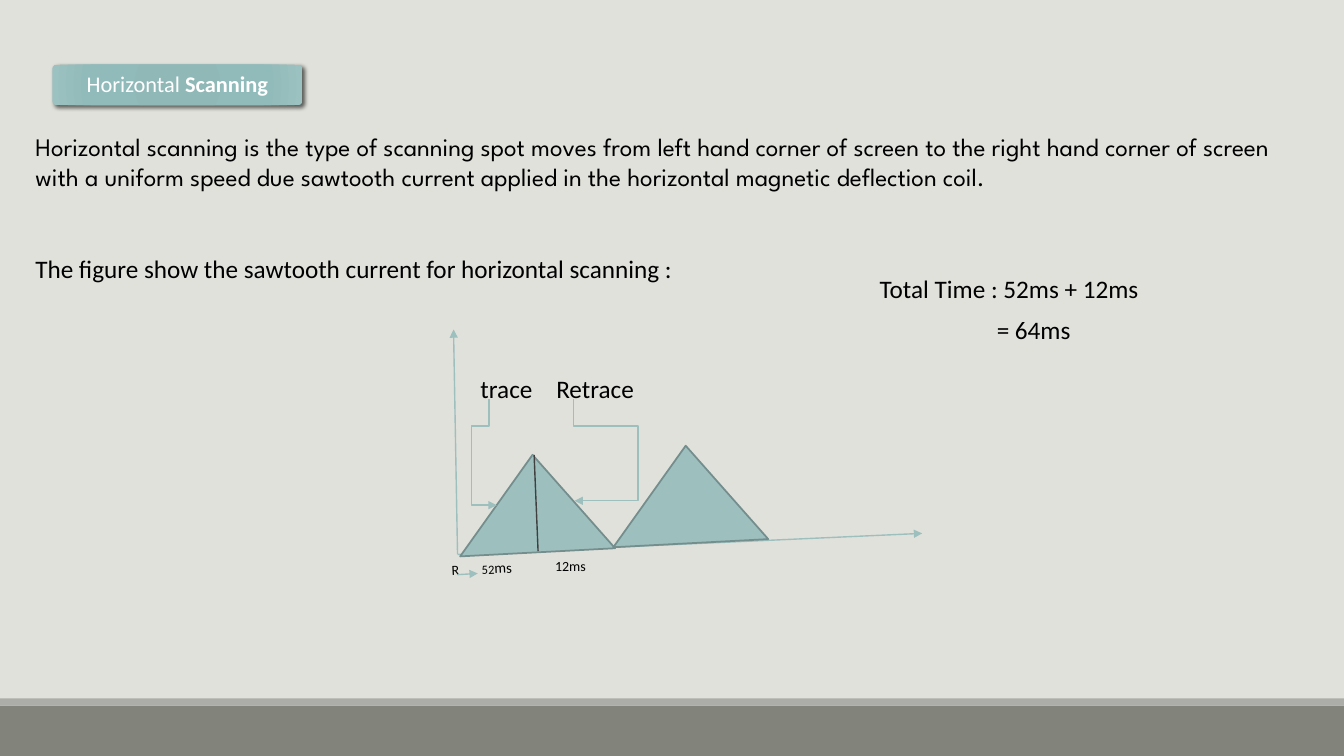
from dataclasses import dataclass

from lxml import etree
from pptx import Presentation
from pptx import util as u
from pptx.dml.color import RGBColor
from pptx.enum import shapes, text
from pptx.oxml import parse_xml
from pptx.oxml.ns import nsdecls, qn


@dataclass(frozen=True)
class Theme:
    """Colours, fonts and type sizes of the slide."""

    ground: str = "E1E1DB"
    bar: str = "82847C"
    strip: str = "ACADA8"
    teal: str = "9DBFBE"
    edge: str = "748D8D"
    divider: str = "404040"
    ink: str = "000000"
    white: str = "FFFFFF"
    badge: tuple = ((0, "8EB7B6"), (34, "90B8B7"), (70, "91BBBA"), (100, "9BC1C0"))
    sans: str = "Calibri"
    display: str = "League Spartan"
    body: int = 18
    title: int = 16
    tick: int = 10


THEME = Theme()
TILT = 357


def colour(code):
    """Turn a hex code into a colour."""
    return RGBColor.from_string(code)


def set_font(font, size, name=THEME.sans, code=THEME.ink):
    """Set the size, face and colour of a font."""
    font.size, font.name = u.Pt(size), name
    font.color.rgb = colour(code)


def place(shape, left, top, width, height):
    """Move a shape to a box given in centimetres."""
    shape.left, shape.top = u.Cm(left), u.Cm(top)
    shape.width, shape.height = u.Cm(width), u.Cm(height)


def add_label(page, box, words, size=THEME.body):
    """Add a text box with one paragraph and return it."""
    label = page.shapes.add_textbox(*map(u.Cm, box))
    label.text_frame.word_wrap = True
    para = label.text_frame.paragraphs[0]
    para.text = words
    set_font(para.font, size)
    return label


def add_block(page, kind, box, fill=None):
    """Add a preset shape without shadow or outline."""
    block = page.shapes.add_shape(kind, *map(u.Cm, box))
    block.shadow.inherit = False
    block.line.fill.background()
    if fill:
        block.fill.solid()
        block.fill.fore_color.rgb = colour(fill)
    return block


def style_line(line, code=THEME.teal, arrow=False):
    """Colour a one-point line and optionally end it in an arrowhead."""
    line.width = u.Pt(1)
    line.color.rgb = colour(code)
    if arrow:
        etree.SubElement(line._get_or_add_ln(), qn("a:tailEnd"), type="triangle")


def add_segment(page, start, end, code=THEME.teal, arrow=False):
    """Draw a straight connector."""
    segment = page.shapes.add_connector(
        shapes.MSO_CONNECTOR.STRAIGHT, *map(u.Cm, (*start, *end)))
    style_line(segment.line, code, arrow)
    etree.SubElement(segment._element.spPr, qn("a:effectLst"))


def add_route(page, points):
    """Draw an arrow with square bends through the points."""
    start, *rest = [(u.Cm(x), u.Cm(y)) for x, y in points]
    builder = page.shapes.build_freeform(*start)
    builder.add_line_segments(rest, close=False)
    route = builder.convert_to_shape()
    route.shadow.inherit = False
    route.fill.background()
    style_line(route.line, arrow=True)


def add_footer(page, left, top, width):
    """Draw the bar and the thin strip above it."""
    strip = 0.18
    add_block(page, shapes.MSO_SHAPE.RECTANGLE, (left, top + strip, width, 1.27), THEME.bar)
    add_block(page, shapes.MSO_SHAPE.RECTANGLE, (left, top, width, strip), THEME.strip)


def add_heading(page, left, top, width, height):
    """Draw the shaded badge and set the title on it."""
    badge = add_block(page, shapes.MSO_SHAPE.ROUNDED_RECTANGLE, (left, top, width, height))
    badge.adjustments[0] = 0.1
    stops = "".join(f'<a:gs pos="{at * 1000}"><a:srgbClr val="{code}"/></a:gs>'
                    for at, code in THEME.badge)
    properties = badge._element.spPr
    properties.find(qn("a:prstGeom")).addnext(parse_xml(
        f'<a:gradFill {nsdecls("a")}><a:gsLst>{stops}</a:gsLst><a:path path="circle">'
        '<a:fillToRect l="100000" t="100000" r="100000" b="100000"/></a:path></a:gradFill>'))
    properties.find(qn("a:effectLst")).append(parse_xml(
        f'<a:outerShdw {nsdecls("a")} blurRad="{u.Pt(3)}" dist="{u.Pt(2)}" dir="2700000">'
        f'<a:srgbClr val="{THEME.ink}"><a:alpha val="60000"/></a:srgbClr></a:outerShdw>'))

    title = page.shapes.title
    badge._element.addnext(title._element)
    place(title, left + 0.03, top + 0.03, width - 0.06, height - 0.06)
    frame = title.text_frame
    frame.margin_left = frame.margin_right = u.Cm(0.18)
    frame.margin_top = frame.margin_bottom = u.Cm(0.18)
    frame.vertical_anchor = text.MSO_ANCHOR.MIDDLE
    frame.auto_size = text.MSO_AUTO_SIZE.NONE
    para = frame.paragraphs[0]
    para.alignment, para.line_spacing = text.PP_ALIGN.CENTER, 0.9
    set_font(para.font, THEME.title, code=THEME.white)
    for words, bold in (("Horizontal ", False), ("Scanning", True)):
        span = para.add_run()
        span.text, span.font.bold = words, bold


def add_definition(page, *box):
    """Fill the body placeholder with the definition."""
    body = page.placeholders[1]
    place(body, *box)
    body.text_frame.auto_size = text.MSO_AUTO_SIZE.NONE
    para = body.text_frame.paragraphs[0]
    para.text = ("Horizontal scanning is the type of scanning spot moves from left hand corner "
                 "of screen to the right hand corner of screen with a uniform speed due sawtooth "
                 "current applied in the horizontal magnetic deflection coil.")
    para.space_before = u.Pt(0)
    set_font(para.font, THEME.body, THEME.display)
    properties = para._p.get_or_add_pPr()
    properties.set("marL", "0")
    properties.set("indent", "0")
    etree.SubElement(properties, qn("a:buNone")) if properties.find(qn("a:defRPr")) is None \
        else properties.find(qn("a:defRPr")).addprevious(etree.Element(qn("a:buNone")))


def add_start_label(page, box):
    """Add the tilted start mark and trace time, parted by a tab stop."""
    label = add_label(page, box, "", THEME.tick)
    label.rotation = TILT
    para = label.text_frame.paragraphs[0]
    for words, size in (("R\t", THEME.tick), ("52", 9), ("ms", 10.5)):
        span = para.add_run()
        span.text, span.font.size = words, u.Pt(size)
    para._p.get_or_add_pPr().insert(0, parse_xml(
        f'<a:tabLst {nsdecls("a")}><a:tab pos="{u.Cm(0.76)}" algn="l"/></a:tabLst>'))


def add_sawtooth(page, left, top):
    """Draw the sawtooth current with its axes and labels."""
    def at(x, y):
        return left + x, top + y

    origin = at(0.4, 5.67)
    for tip in (at(0.3, 0), at(12.11, 5.14)):
        add_segment(page, origin, tip, arrow=True)
    for cycle in range(2):
        corner = at(0.4 + 3.86 * cycle, 3.16 - 0.23 * cycle)
        tooth = add_block(page, shapes.MSO_SHAPE.ISOSCELES_TRIANGLE,
                          (*corner, 3.91, 2.46), THEME.teal)
        tooth.rotation = TILT
        tooth.line.color.rgb = colour(THEME.edge)
        tooth.line.width = u.Pt(1.25)
    for x, code in ((2.31, THEME.teal), (2.33, THEME.divider)):
        add_segment(page, at(x, 3.16), at(2.43, 5.59), code)
    add_start_label(page, (*at(0, 5.67), 2.36, 0.76))
    add_segment(page, at(0.4, 6.18), at(0.91, 6.15), arrow=True)
    add_label(page, (*at(2.61, 5.62), 1.45, 0.69), "12ms", THEME.tick)
    for x, side, end, y in ((1.19, 0.76, 1.39, 4.43), (3.32, 4.95, 3.35, 4.32)):
        add_route(page, [at(x, 1.76), at(x, 2.44), at(side, 2.44), at(side, y), at(end, y)])
    for x, width, words in ((0.73, 2.26, "trace"), (2.64, 2.82, "Retrace")):
        add_label(page, (*at(x, 0.97), width, 1.02), words)


def add_total(page, left, top):
    """Write the sum of both times on two lines."""
    add_label(page, (left, top, 7.34, 1.02), "Total Time : 52ms + 12ms")
    add_label(page, (left + 2.95, top + 1.04, 2.46, 1.02), "= 64ms")


deck = Presentation()
deck.slide_width, deck.slide_height = u.Cm(33.87), u.Cm(19.05)
page = deck.slides.add_slide(deck.slide_layouts[1])
page.background.fill.solid()
page.background.fill.fore_color.rgb = colour(THEME.ground)
add_footer(page, 0, 17.6, 33.87)
add_heading(page, 1.32, 1.63, 6.3, 1.02)
add_definition(page, 0.64, 3.18, 32.16, 2.57)
add_label(page, (0.64, 6.25, 16.71, 1.02),
          "The figure show the sawtooth current for horizontal scanning :")
add_sawtooth(page, 11.13, 8.3)
add_total(page, 21.92, 6.76)
deck.save("out.pptx")
